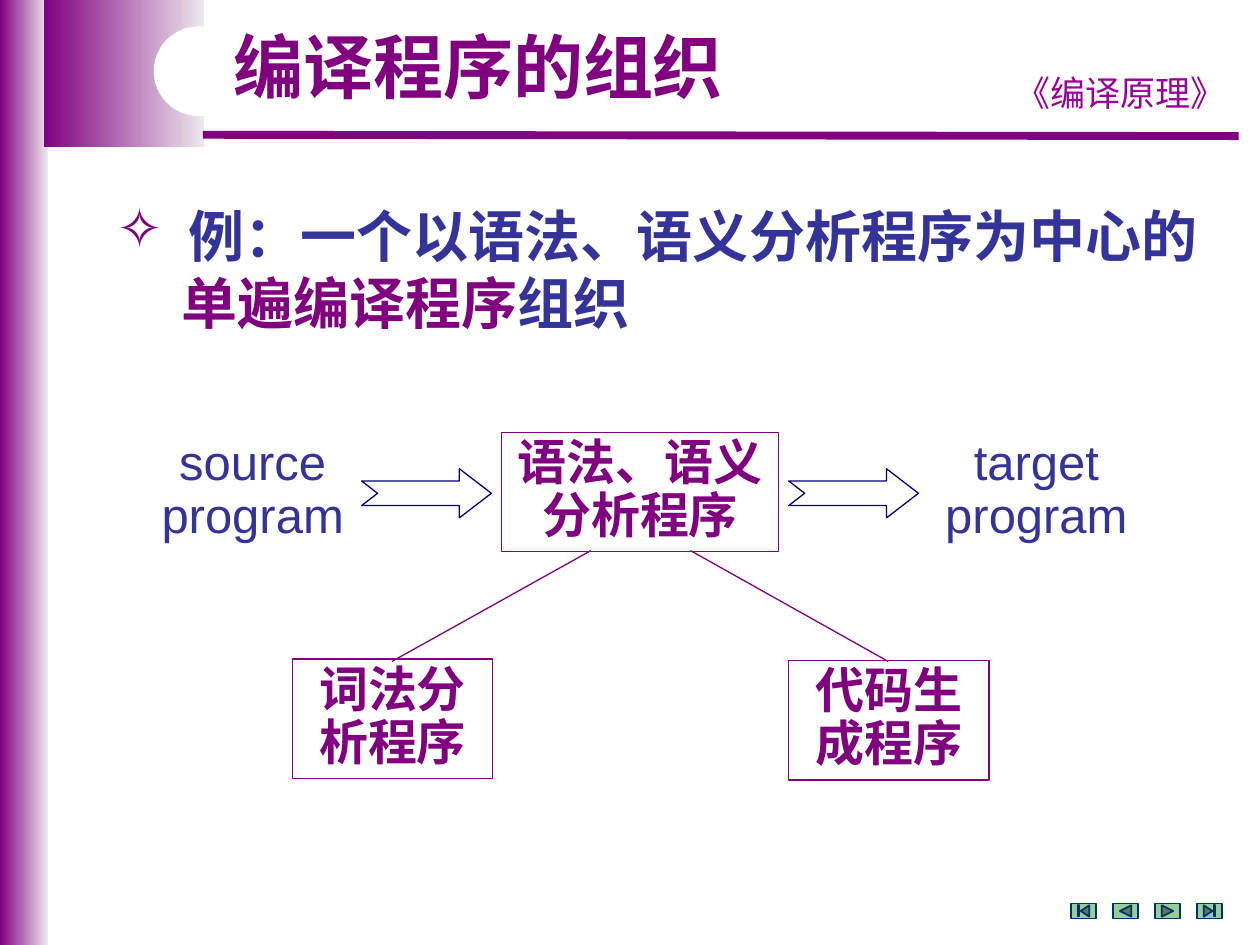
import pptx
import pptx.dml.color
import pptx.enum.shapes
import pptx.enum.text
import pptx.oxml
import pptx.oxml.ns
import pptx.util

SHAPE = pptx.enum.shapes.MSO_SHAPE
ALIGN = pptx.enum.text.PP_ALIGN
PURPLE, BLUE = "800080", "333399"

deck = pptx.Presentation()
deck.slide_width = pptx.util.Inches(10)
deck.slide_height = pptx.util.Inches(7.5)
slide = deck.slides.add_slide(deck.slide_layouts[6])
column = deck.slide_width / 10
row = deck.slide_height / 7.5


def paint(target, color):
    """Give a font, fill or line one solid colour, or none."""
    if hasattr(target, "background"):
        target.solid() if color else target.background()
        target = target.fore_color if color else None
    elif hasattr(target, "fill"):
        if not color:
            target.fill.background()
            return
        target = target.color
    if color:
        target.rgb = pptx.dml.color.RGBColor.from_string(color)


def add_part(kind, left, top, width, height, fill=None, line=None, weight=0.75):
    """Add a preset shape, or a text box if kind is None, placed in grid units."""
    place = [int(left * column), int(top * row), int(width * column), int(height * row)]
    if kind is None:
        part = slide.shapes.add_textbox(*place)
    else:
        part = slide.shapes.add_shape(kind, *place)
        part.shadow.inherit = False
        paint(part.fill, fill)
        paint(part.line, line)
        if line:
            part.line.width = pptx.util.Pt(weight)
    layout = {"word_wrap": True, "vertical_anchor": pptx.enum.text.MSO_ANCHOR.TOP}
    for name, value in layout.items():
        setattr(part.text_frame, name, value)
    return part


# Side band and header block
for band in [(0, 0, 0.38, 7.5), (0.35, 0, 1.27, 1.17)]:
    fade = add_part(SHAPE.RECTANGLE, *band).fill
    fade.gradient()
    fade.gradient_angle = 0
    for stop, (position, color) in zip(fade.gradient_stops, [(0, PURPLE), (1, "EDE7ED")]):
        stop.position = position
        paint(stop.color, color)

# Header rule, and branches from the central program to its two helpers
for x1, y1, x2, y2, weight in [
    (1.61, 1.07, 9.83, 1.08, 4.5),
    (3.11, 5.25, 4.69, 4.37, 0.75),
    (5.48, 4.37, 7.05, 5.25, 0.75),
]:
    rule = slide.shapes.add_connector(
        pptx.enum.shapes.MSO_CONNECTOR.STRAIGHT,
        int(x1 * column), int(y1 * row), int(x2 * column), int(y2 * row),
    )
    paint(rule.line, PURPLE)
    rule.line.width = pptx.util.Pt(weight)
    pptx.oxml.ns.qn("a:effectLst")
    rule._element.spPr.append(
        pptx.oxml.parse_xml(f"<a:effectLst {pptx.oxml.ns.nsdecls('a')}/>")
    )

notch = add_part(SHAPE.ROUNDED_RECTANGLE, 1.22, 0.21, 3.62, 0.71, "FFFFFF")
notch.adjustments[0] = 0.5

# Navigation buttons
for index, button in enumerate([
    SHAPE.ACTION_BUTTON_BEGINNING,
    SHAPE.ACTION_BUTTON_BACK_OR_PREVIOUS,
    SHAPE.ACTION_BUTTON_FORWARD_OR_NEXT,
    SHAPE.ACTION_BUTTON_END,
]):
    add_part(button, 8.5 + index / 3, 7.17, 0.2, 0.12, "99CC99", "003366", 1)

# Flow arrows
for left in (2.87, 6.26):
    arrow = add_part(SHAPE.NOTCHED_RIGHT_ARROW, left, 3.72, 1.03, 0.39, "FFFFFF", "000080")
    arrow.adjustments[0] = 0.5
    arrow.adjustments[1] = 0.65

# Titles, flow ends and program boxes
course = {"name": "Comic Neue", "size": pptx.util.Pt(20)}
title = {"name": "Arial", "size": pptx.util.Pt(40), "bold": True}
flow_end = {"name": "Arial", "size": pptx.util.Pt(28)}
program = {**flow_end, "bold": True}
for kind, box, words, style, color, spacing in [
    (None, (7.91, 0.52, 1.97, 0.43), "《编译原理》", course, "990099", 1.0),
    (None, (1.65, 0.21, 4.29, 0.7), "编译程序的组织", title, PURPLE, 0.9),
    (None, (0.98, 3.43, 2.05, 0.94), "source program", flow_end, BLUE, 0.9),
    (None, (7.2, 3.43, 2.05, 0.94), "target program", flow_end, BLUE, 0.9),
    (SHAPE.RECTANGLE, (3.98, 3.43, 2.2, 0.95), "语法、语义分析程序", program, PURPLE, 0.9),
    (SHAPE.RECTANGLE, (2.32, 5.23, 1.59, 0.95), "词法分析程序", program, PURPLE, 0.9),
    (SHAPE.RECTANGLE, (6.26, 5.24, 1.59, 0.95), "代码生成程序", program, PURPLE, 0.9),
]:
    part = add_part(kind, *box, line=PURPLE if kind else None)
    paragraph = part.text_frame.paragraphs[0]
    paragraph.alignment = ALIGN.CENTER
    paragraph.line_spacing = spacing
    run = paragraph.add_run()
    run.text = words
    for name, value in style.items():
        setattr(run.font, name, value)
    paint(run.font.color, color)

# Example statement: a bulleted line and its indented continuation
example = add_part(None, 0.83, 1.55, 9.02, 1.17).text_frame
statement = {"name": "Arial", "size": pptx.util.Pt(32), "bold": True}
for index, (margin, bullet, pieces) in enumerate([
    (0.57, "✧", [("例：一个以语法、语义分析程序为中心的", BLUE)]),
    (0.51, None, [("单遍编译程序", PURPLE), ("组织", BLUE)]),
]):
    paragraph = example.add_paragraph() if index else example.paragraphs[0]
    properties = paragraph._p.get_or_add_pPr()
    properties.set("marL", str(int(margin * column)))
    if bullet:
        properties.set("indent", str(-int(margin * column)))
        for tag in (
            f'<a:buClr {{}}><a:srgbClr val="{PURPLE}"/></a:buClr>',
            f'<a:buChar {{}} char="{bullet}"/>',
        ):
            properties.append(pptx.oxml.parse_xml(tag.format(pptx.oxml.ns.nsdecls("a"))))
    for words, color in pieces:
        run = paragraph.add_run()
        run.text = words
        for name, value in statement.items():
            setattr(run.font, name, value)
        paint(run.font.color, color)

deck.save("out.pptx")
